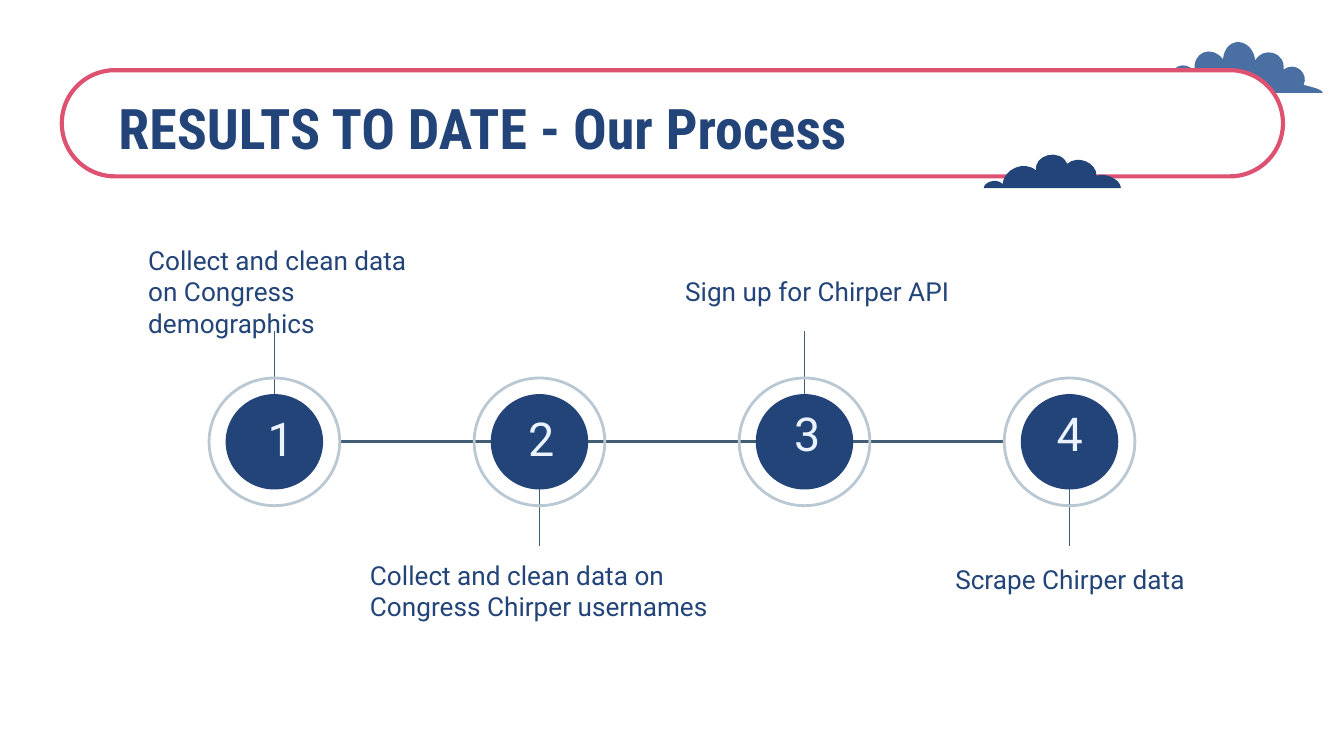
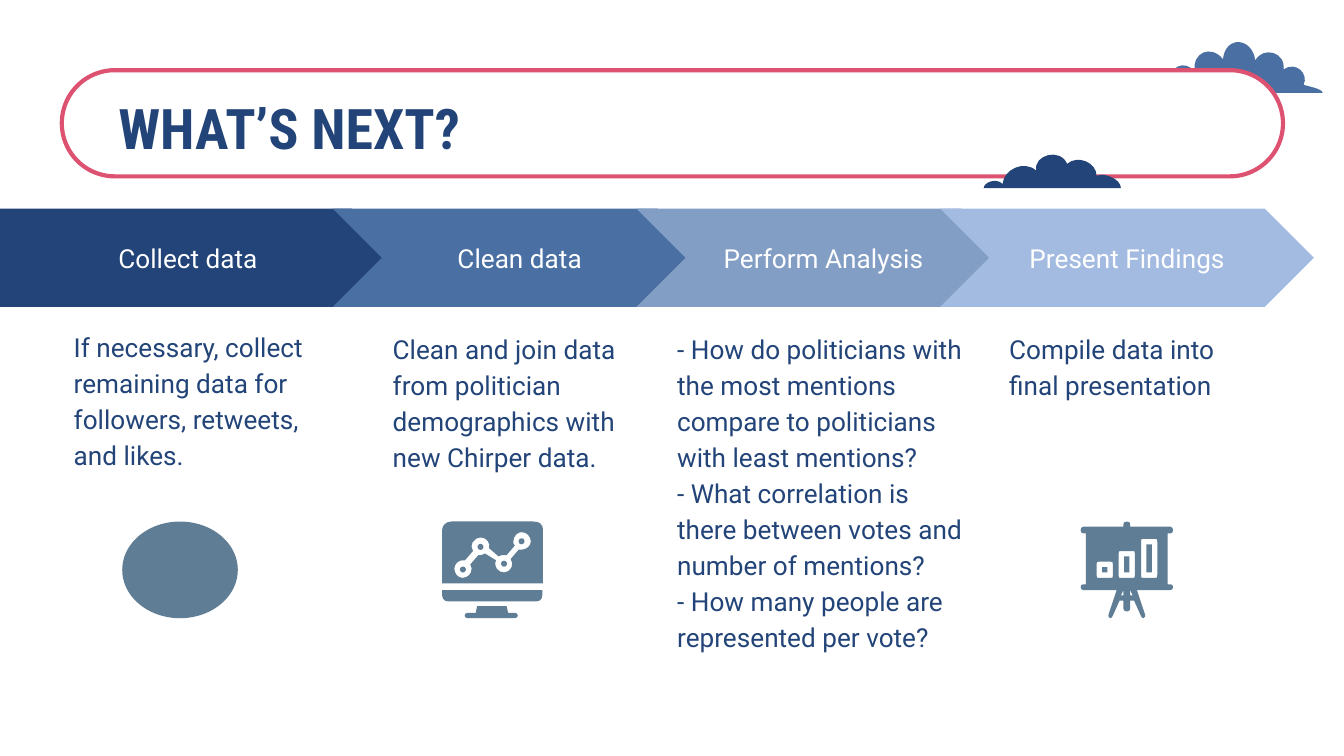
from dataclasses import dataclass
from itertools import islice

from lxml import etree
from pptx import Presentation
from pptx.dml.color import RGBColor
from pptx.enum.shapes import MSO_CONNECTOR, MSO_SHAPE
from pptx.enum.text import MSO_ANCHOR, MSO_AUTO_SIZE, PP_ALIGN
from pptx.oxml.ns import qn
from pptx.util import Pt

STRAIGHT = MSO_CONNECTOR.STRAIGHT
OVAL, RECT, ROUNDED = MSO_SHAPE.OVAL, MSO_SHAPE.RECTANGLE, MSO_SHAPE.ROUNDED_RECTANGLE
ROUND_ENDS = MSO_SHAPE.ROUND_2_SAME_RECTANGLE
PENTAGON, CHEVRON = MSO_SHAPE.PENTAGON, MSO_SHAPE.CHEVRON
TOP, MIDDLE = MSO_ANCHOR.TOP, MSO_ANCHOR.MIDDLE
LEFT, CENTER = PP_ALIGN.LEFT, PP_ALIGN.CENTER


@dataclass(frozen=True)
class Theme:
    navy: str = "224478"
    blue: str = "496FA3"
    steel: str = "829EC5"
    sky: str = "A3BBE0"
    rose: str = "DD5171"
    slate: str = "435D74"
    ring: str = "BAC8D3"
    icon: str = "5F7D95"
    ice: str = "EAF3FE"
    white: str = "FFFFFF"
    title_font: str = "Roboto Condensed"
    body_font: str = "Roboto"
    title_size: float = 30
    number_size: float = 25
    body_size: float = 14
    inset: float = 7.2


THEME = Theme()

PROCESS_TITLE = "RESULTS TO DATE - Our Process"
# label, label box, top left of the number
PROCESS_STEPS = [
    ("Collect and clean data on Congress demographics", (72.3, 123.6, 170.6, 65.5), (136.3, 212.4)),
    ("Collect and clean data on Congress Chirper usernames", (191.1, 292.5, 200.2, 48.2), (275.8, 212.4)),
    ("Sign up for Chirper API", (360, 140.4, 162.7, 31.7), (418.3, 209.5)),
    ("Scrape Chirper data", (504.7, 294.5, 144, 31.7), (559, 209.5)),
]

NEXT_TITLE = "WHAT’S NEXT?"
# heading, fill, body box, paragraphs
NEXT_STAGES = [
    ("Collect data", THEME.navy, (32.4, 167.8, 149.8, 205.9),
     ["If necessary, collect remaining data for followers, retweets, and likes."]),
    ("Clean data", THEME.blue, (203.3, 168.8, 149.8, 205.9),
     ["Clean and join data from politician demographics with new Chirper data."]),
    ("Perform Analysis", THEME.steel, (355.7, 168.8, 170.6, 205.9),
     ["- How do politicians with the most mentions compare to politicians with least mentions?",
      "- What correlation is there between votes and number of mentions?",
      "- How many people are represented per vote?"]),
    ("Present Findings", THEME.sky, (533.5, 168.8, 149.8, 205.9),
     ["Compile data into final presentation"]),
]

# Outlines: a start, then line ends (one point) and Bézier curves (three points)
BACK_CLOUD = ((672.5, 32.4), [
    ((676.8, 24.5), (689, 28.1), (687.6, 37.4)),
    ((694.1, 32.4), (701.3, 39.6), (698.4, 45.4)),
    ((699.8, 46.1), (708.5, 47.5), (708.5, 49.7)),
    ((605.5, 49.7),), ((608.4, 49),),
    ((612, 48.2), (614.2, 47.5), (617.8, 46.8)),
    ((619.2, 41.8), (624.2, 41), (626.4, 43.9)),
    ((626.4, 36), (634.3, 31.7), (640.1, 38.2)),
    ((638.6, 28.1), (648.7, 23.8), (655.2, 31.7)),
    ((656.6, 18.7), (671, 20.2), (672.5, 32.4)),
])
FRONT_CLOUD = ((555.1, 91.4), [
    ((548.6, 85.7), (537.8, 90.7), (537.1, 98.6)),
    ((533.5, 95), (527, 97.9), (527, 100.8)),
    ((600.5, 100.8),),
    ((600.5, 95.8), (591.1, 92.2), (587.5, 94.3)),
    ((587.5, 87.1), (577.4, 82.8), (571.7, 87.8)),
    ((568.1, 79.2), (553.7, 82.8), (555.1, 91.4)),
])
SCREEN = ((241.9, 279.4), [
    ((239, 279.4), (236.9, 281.5), (236.9, 283.7)),
    ((236.9, 312.5),), ((290.9, 312.5),), ((290.9, 283.7),),
    ((290.9, 280.8), (288.7, 279.4), (285.8, 279.4)),
])
TREND = ((279.4, 285.1), [
    ((282.2, 285.1), (284.4, 287.3), (284.4, 290.2)),
    ((284.4, 292.3), (282.2, 294.5), (279.4, 294.5)),
    ((277.9, 294.5),), ((273.6, 299.5),),
    ((275.8, 302.4), (273.6, 306.7), (270, 306.7)),
    ((267.1, 306.7), (264.2, 303.8), (265.7, 300.2)),
    ((259.9, 296.6),),
    ((259.2, 297.4), (258.5, 297.4), (257.8, 297.4)),
    ((256.3, 297.4),), ((252, 302.4),),
    ((252.7, 303.1), (252.7, 303.8), (252.7, 304.6)),
    ((252.7, 307.4), (250.6, 309.6), (247.7, 309.6)),
    ((245.5, 309.6), (243.4, 307.4), (243.4, 304.6)),
    ((243.4, 302.4), (245.5, 300.2), (247.7, 300.2)),
    ((249.1, 300.2),), ((253.4, 295.2),),
    ((251.3, 292.3), (253.4, 288), (257.8, 288)),
    ((260.6, 288), (262.8, 290.9), (262.1, 293.8)),
    ((267.1, 298.1),),
    ((267.8, 297.4), (269.3, 297.4), (270, 297.4)),
    ((271.4, 297.4),), ((275.8, 292.3),),
    ((275, 291.6), (275, 290.9), (275, 290.2)),
    ((275, 287.3), (277.2, 285.1), (279.4, 285.1)),
])
TREND_DOTS = [(248, 305.1), (257.4, 293), (270, 302), (279.4, 290)]
STAND = ((255.6, 324.7), [
    ((254.9, 328.3),), ((250.6, 328.3),),
    ((248.4, 328.3), (248.4, 331.2), (250.6, 331.2)),
    ((275.8, 331.2),),
    ((277.9, 331.2), (277.9, 328.3), (275.8, 328.3)),
    ((272.2, 328.3),), ((271.4, 324.7),),
])
BOARD_MIDDLE = 603.7
BOARD_LEFT_HALF = ((603.7, 279.4), [
    ((602.3, 279.4), (601.9, 280.1), (601.9, 280.8)),
    ((601.9, 282.2),), ((580.3, 282.2),),
    ((578.5, 282.2), (578.5, 285.8), (580.3, 285.8)),
    ((581.8, 285.8),), ((581.8, 313),), ((580.3, 313),),
    ((578.5, 313), (578.5, 316.1), (580.3, 316.1)),
    ((598.3, 316.1),), ((594, 329),),
    ((593.3, 329.8), (594, 330.5), (594.7, 331.2)),
    ((595.4, 331.2), (596.2, 330.5), (596.2, 329.8)),
    ((599.8, 321.8),), ((601.9, 321.8),), ((601.9, 326.2),),
    ((601.9, 326.9), (602.6, 327.6), (603.7, 327.6)),
])
LEG_GAPS = [((601.9, 316.1), [((601.9, 319),), ((600.5, 319),)]),
            ((605.5, 316.1), [((605.5, 319),), ((606.9, 319),)])]
BOARD_BARS = [(590.4, 303.8, 2.9, 2.9), (602.2, 298.1, 2.9, 8.6), (614.2, 291.6, 2.9, 15.1)]


def color(hex_code):
    return RGBColor.from_string(hex_code)


def style(shape, fill=None, line=None, width=0.75):
    shape.shadow.inherit = False
    if fill:
        shape.fill.solid()
        shape.fill.fore_color.rgb = color(fill)
    else:
        shape.fill.background()
    if line:
        shape.line.color.rgb = color(line)
        shape.line.width = Pt(width)
    else:
        shape.line.fill.background()
    return shape


def add_block(slide, kind, box, fill=None, line=None, width=0.75, adjust=()):
    block = slide.shapes.add_shape(kind, *map(Pt, box))
    for index, value in enumerate(adjust):
        block.adjustments[index] = value
    return style(block, fill, line, width)


def add_disc(slide, center, size, **look):
    (x, y), (w, h) = center, size
    return add_block(slide, OVAL, (x - w / 2, y - h / 2, w, h), **look)


def add_line(slide, start, end, line, width):
    connector = slide.shapes.add_connector(STRAIGHT, *map(Pt, (*start, *end)))
    connector.line.color.rgb = color(line)
    connector.line.width = Pt(width)
    etree.SubElement(connector.element.spPr, qn("a:effectLst"))


def write(frame, paragraphs, ink, size=THEME.body_size, font=THEME.body_font,
          bold=False, align=LEFT, anchor=TOP, spacing=None):
    frame.word_wrap = True
    frame.auto_size = MSO_AUTO_SIZE.NONE
    frame.vertical_anchor = anchor
    frame.margin_left = frame.margin_right = Pt(THEME.inset)
    frame.margin_top = frame.margin_bottom = Pt(THEME.inset)
    frame.text = "\n".join(paragraphs)
    for paragraph in frame.paragraphs:
        paragraph.alignment = align
        if spacing:
            paragraph.line_spacing = spacing
        for run in paragraph.runs:
            run.font.name = font
            run.font.size = Pt(size)
            run.font.bold = bold
            run.font.color.rgb = color(ink)


def add_text(slide, box, paragraphs, ink, **look):
    write(slide.shapes.add_textbox(*map(Pt, box)).text_frame, paragraphs, ink, **look)


def add_outline(slide, contours, fill):
    """Draw contours as one freeform, merging each three-point group into a curve."""
    builder = None
    for (x, y), segments in contours:
        if builder:
            builder.move_to(Pt(x), Pt(y))
        else:
            builder = slide.shapes.build_freeform(Pt(x), Pt(y))
        builder.add_line_segments([(Pt(a), Pt(b)) for s in segments for a, b in s], close=True)
    outline = style(builder.convert_to_shape(), fill)
    track = outline.element.find(".//" + qn("a:path"))
    lines = iter(track.findall(qn("a:lnTo")))
    for _, segments in contours:
        for segment in segments:
            group = list(islice(lines, len(segment)))
            if len(group) == 3:
                curve = track.makeelement(qn("a:cubicBezTo"))
                group[0].addprevious(curve)
                for line in group:
                    curve.append(line[0])
                    track.remove(line)


def with_mirror(start, segments, axis):
    """Complete a half outline with its reflection in a vertical axis."""
    chain = [start, *(point for segment in segments for point in segment)]
    back = iter([(2 * axis - x, y) for x, y in reversed(chain)][1:])
    return start, segments + [tuple(islice(back, len(s))) for s in reversed(segments)]


def rounded_box(x, y, w, h, r=1.4):
    right, bottom = x + w, y + h
    return (x + r, y), [
        ((right - r, y),), ((right, y), (right, y), (right, y + r)),
        ((right, bottom - r),), ((right, bottom), (right, bottom), (right - r, bottom)),
        ((x + r, bottom),), ((x, bottom), (x, bottom), (x, bottom - r)),
        ((x, y + r),), ((x, y), (x, y), (x + r, y)),
    ]


def add_titled_slide(deck, heading):
    slide = deck.slides.add_slide(deck.slide_layouts[5])
    add_outline(slide, [BACK_CLOUD], THEME.blue)
    pill = add_block(slide, ROUNDED, (33.1, 37.6, 654.2, 56.9), THEME.white,
                     THEME.rose, 2.25, (0.5,))
    title = slide.shapes.title
    title.left, title.top, title.width, title.height = map(Pt, (56.2, 42.9, 607.7, 45.4))
    write(title.text_frame, [heading], THEME.navy, THEME.title_size, THEME.title_font, bold=True)
    pill.element.addnext(title.element)
    add_outline(slide, [FRONT_CLOUD], THEME.navy)
    return slide


def add_process(slide):
    first_x, pitch, axis_y = 147, 142, 236.7
    ring, disc = (70, 68.4), (52.2, 51.1)
    last_x = first_x + pitch * (len(PROCESS_STEPS) - 1)
    add_line(slide, (first_x + ring[0] / 2, axis_y), (last_x - ring[0] / 2, axis_y),
             THEME.slate, 1.5)
    for index, (label, label_box, number_spot) in enumerate(PROCESS_STEPS):
        x = first_x + pitch * index
        stem = (211, 177.5) if index % 2 == 0 else (262.1, 292.3)
        add_line(slide, (x, stem[0]), (x, stem[1]), THEME.slate, 0.75)
        add_disc(slide, (x, axis_y), ring, line=THEME.ring, width=1.5)
        add_disc(slide, (x, axis_y), disc, fill=THEME.navy)
        add_text(slide, (*number_spot, 46.8, 44.6), [str(index + 1)], THEME.ice,
                 size=THEME.number_size)
        add_text(slide, label_box, [label], THEME.navy)


def add_stages(slide):
    top, height, pitch, offset = 111.8, 52.6, 162.7, 15.6
    for index, (heading, fill, body_box, paragraphs) in enumerate(NEXT_STAGES):
        if index == 0:
            kind, box = PENTAGON, (0, top, 214.6, height)
        else:
            kind, box = CHEVRON, (offset + pitch * index, top, 200.2, height)
        arrow = add_block(slide, kind, box, fill, adjust=(0.5,))
        write(arrow.text_frame, [heading], THEME.white, align=CENTER, anchor=MIDDLE)
        add_text(slide, body_box, paragraphs, THEME.navy, spacing=1.15)


def add_icons(slide):
    add_block(slide, OVAL, (65.5, 279.4, 61.9, 51.8), THEME.icon)

    windows = [rounded_box(x - 2.9, y - 2.9, w + 5.8, h + 5.8) for x, y, w, h in BOARD_BARS]
    board = with_mirror(*BOARD_LEFT_HALF, BOARD_MIDDLE)
    add_outline(slide, [*windows, *LEG_GAPS, board], THEME.icon)
    for bar in BOARD_BARS:
        add_block(slide, RECT, bar, THEME.icon)

    for dot in TREND_DOTS:
        add_disc(slide, dot, (3.2, 3.2), fill=THEME.icon)
    add_block(slide, ROUND_ENDS, (236.9, 316.1, 53.6, 6.1), THEME.icon, adjust=(0, 0.5))
    add_outline(slide, [STAND], THEME.icon)
    add_outline(slide, [TREND, SCREEN], THEME.icon)


def main():
    deck = Presentation()
    deck.slide_width, deck.slide_height = Pt(720), Pt(405)
    add_process(add_titled_slide(deck, PROCESS_TITLE))
    next_slide = add_titled_slide(deck, NEXT_TITLE)
    add_stages(next_slide)
    add_icons(next_slide)
    deck.save("out.pptx")


if __name__ == "__main__":
    main()
